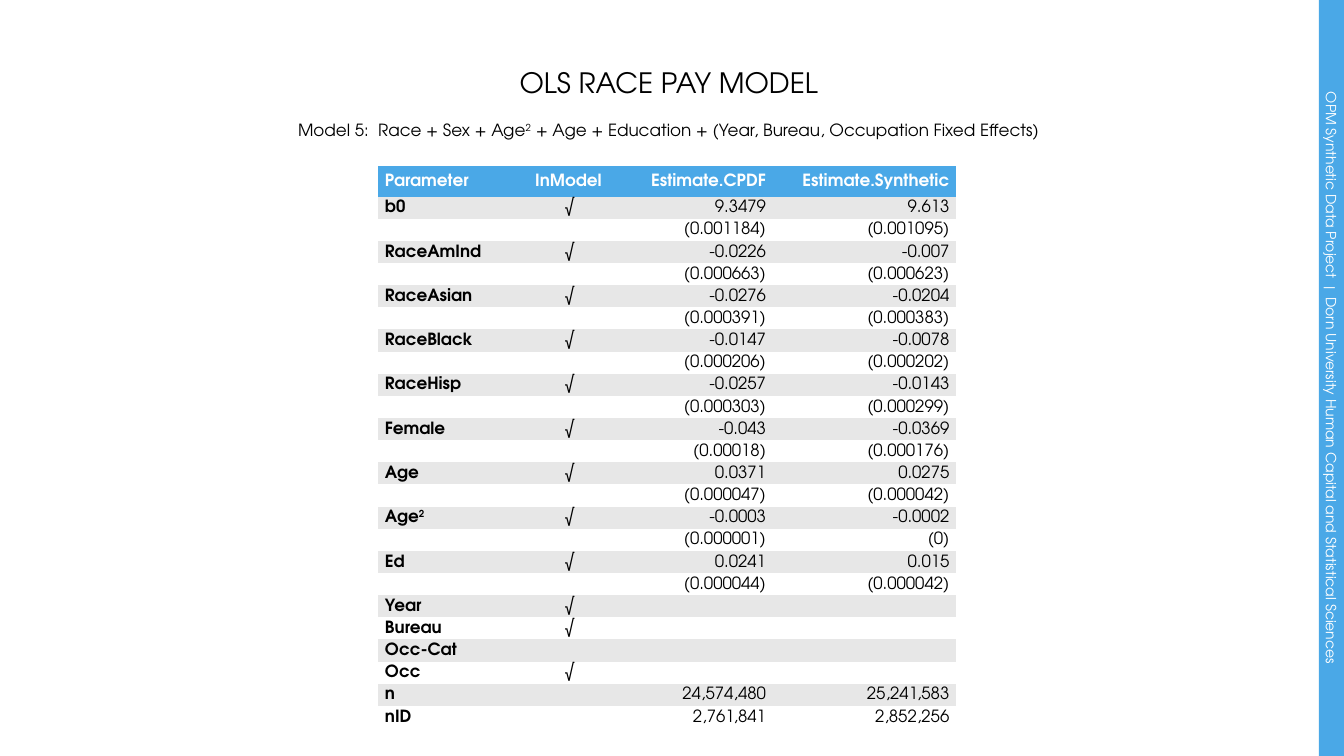
from lxml import etree
from pptx import Presentation
from pptx.dml.color import RGBColor
from pptx.enum.shapes import MSO_SHAPE
from pptx.enum.text import MSO_ANCHOR, MSO_AUTO_SIZE, PP_ALIGN
from pptx.oxml.ns import qn
from pptx.util import Pt

LEFT, CENTER, RIGHT = PP_ALIGN.LEFT, PP_ALIGN.CENTER, PP_ALIGN.RIGHT
TOP, MIDDLE, BOTTOM = MSO_ANCHOR.TOP, MSO_ANCHOR.MIDDLE, MSO_ANCHOR.BOTTOM
RECTANGLE = MSO_SHAPE.RECTANGLE
NO_AUTOFIT = MSO_AUTO_SIZE.NONE
TITLE_ONLY = 5
PLAIN_TABLE_STYLE = "{2D5ABB26-0587-4C30-8999-92F81FD0307C}"

HEADINGS = ["Parameter", "InModel", "Estimate.CPDF", "Estimate.Synthetic"]
# Parameter, then estimate and standard error for each data set
ESTIMATES = [
    ("b0", "9.3479", "0.001184", "9.613", "0.001095"),
    ("RaceAmInd", "-0.0226", "0.000663", "-0.007", "0.000623"),
    ("RaceAsian", "-0.0276", "0.000391", "-0.0204", "0.000383"),
    ("RaceBlack", "-0.0147", "0.000206", "-0.0078", "0.000202"),
    ("RaceHisp", "-0.0257", "0.000303", "-0.0143", "0.000299"),
    ("Female", "-0.043", "0.00018", "-0.0369", "0.000176"),
    ("Age", "0.0371", "0.000047", "0.0275", "0.000042"),
    ("Age²", "-0.0003", "0.000001", "-0.0002", "0"),
    ("Ed", "0.0241", "0.000044", "0.015", "0.000042"),
]
SUMMARY = [
    ("Year", "√", "", ""),
    ("Bureau", "√", "", ""),
    ("Occ-Cat", "", "", ""),
    ("Occ", "√", "", ""),
    ("n", "", "24,574,480", "25,241,583"),
    ("nID", "", "2,761,841", "2,852,256"),
]


def color(hex_string):
    return RGBColor.from_string(hex_string)


def table_rows():
    """Return all body rows, with each standard error below its estimate."""
    rows = []
    for name, cpdf, cpdf_error, synthetic, synthetic_error in ESTIMATES:
        rows.append((name, "√", cpdf, synthetic))
        rows.append(("", "", f"({cpdf_error})", f"({synthetic_error})"))
    return rows + SUMMARY


class SlideBuilder:
    """Holds the style and the current slide."""

    font_name = "TeX Gyre Adventor"
    blue, gray, white, black = "4AA8E7", "E7E7E7", "FFFFFF", "000000"

    def __init__(self, slide):
        self.slide = slide

    def set_text(self, paragraph, text, size=12, ink=black, bold=False,
                 align=LEFT, line_spacing=None):
        """Fill a paragraph, setting ² as a superscript 2."""
        paragraph.alignment = align
        paragraph.line_spacing = line_spacing
        before, square, after = text.partition("²")
        for part, raised in ((before, False), ("2" if square else "", True), (after, False)):
            if not part:
                continue
            run = paragraph.add_run()
            run.text = part
            run.font.name = self.font_name
            run.font.size = Pt(size)
            run.font.bold = bold
            run.font.color.rgb = color(ink)
            if raised:
                run.font._element.set("baseline", "30000")
        if not text:
            end = etree.SubElement(paragraph._p, qn("a:endParaRPr"))
            end.set("sz", str(size * 100))

    def place(self, shape, left, top, width, height):
        shape.left, shape.top = Pt(left), Pt(top)
        shape.width, shape.height = Pt(width), Pt(height)

    def title(self, text, *box):
        title = self.slide.shapes.title
        self.place(title, *box)
        frame = title.text_frame
        frame.auto_size = NO_AUTOFIT
        frame.vertical_anchor = BOTTOM
        self.set_text(frame.paragraphs[0], text, size=20, align=CENTER)

    def text_box(self, text, *box):
        frame = self.slide.shapes.add_textbox(*map(Pt, box)).text_frame
        frame.word_wrap = True
        frame.vertical_anchor = TOP
        self.set_text(frame.paragraphs[0], text, align=CENTER)

    def side_bar(self, text, *box):
        bar = self.slide.shapes.add_shape(RECTANGLE, *map(Pt, box))
        bar.rotation = 90
        bar.shadow.inherit = False
        bar.fill.solid()
        bar.fill.fore_color.rgb = color(self.blue)
        bar.line.fill.background()
        frame = bar.text_frame
        frame.word_wrap = True
        frame.margin_top = frame.margin_bottom = 0
        frame.vertical_anchor = MIDDLE
        self.set_text(frame.paragraphs[0], text, size=10, ink=self.white, align=CENTER)

    def cell(self, cell, text, fill, **text_format):
        cell.fill.solid()
        cell.fill.fore_color.rgb = color(fill)
        cell.margin_left = cell.margin_right = Pt(5)
        cell.margin_top = cell.margin_bottom = 0
        cell.vertical_anchor = MIDDLE
        self.set_text(cell.text_frame.paragraphs[0], text, line_spacing=1.07, **text_format)

    def table(self, rows, left, top, widths, header_height, row_height):
        height = header_height + row_height * (len(rows) - 1)
        table = self.slide.shapes.add_table(
            len(rows), len(widths), Pt(left), Pt(top), Pt(sum(widths)), Pt(height)).table
        table.horz_banding = False
        table._tbl.tblPr.find(qn("a:tableStyleId")).text = PLAIN_TABLE_STYLE
        for column, width in zip(table.columns, widths):
            column.width = Pt(width)
        for row_index, values in enumerate(rows):
            is_header = row_index == 0
            table.rows[row_index].height = Pt(header_height if is_header else row_height)
            band = self.gray if row_index % 2 else self.white
            for column_index, text in enumerate(values):
                self.cell(table.cell(row_index, column_index), text,
                          self.blue if is_header else band,
                          ink=self.white if is_header else self.black,
                          bold=is_header or column_index == 0,
                          align=(LEFT, CENTER, RIGHT, RIGHT)[column_index])


def main():
    presentation = Presentation()
    presentation.slide_width, presentation.slide_height = Pt(960), Pt(540)
    layout = presentation.slide_layouts[TITLE_ONLY]
    builder = SlideBuilder(presentation.slides.add_slide(layout))
    builder.title("OLS RACE PAY MODEL", 28.8, 35.3, 897.8, 38.9)
    builder.text_box(
        "Model 5:  Race + Sex + Age² + Age + Education + (Year, Bureau, Occupation Fixed Effects)",
        183.6, 82.1, 588.2, 28.8)
    builder.table([HEADINGS] + table_rows(), left=270, top=118.8,
                  widths=[98.6, 74.9, 108.7, 131], header_height=21.6, row_height=15.84)
    builder.side_bar(
        "OPM Synthetic Data Project  |  Dorn University Human Capital and Statistical Sciences",
        681, 261, 540, 18)
    presentation.save("out.pptx")


if __name__ == "__main__":
    main()
